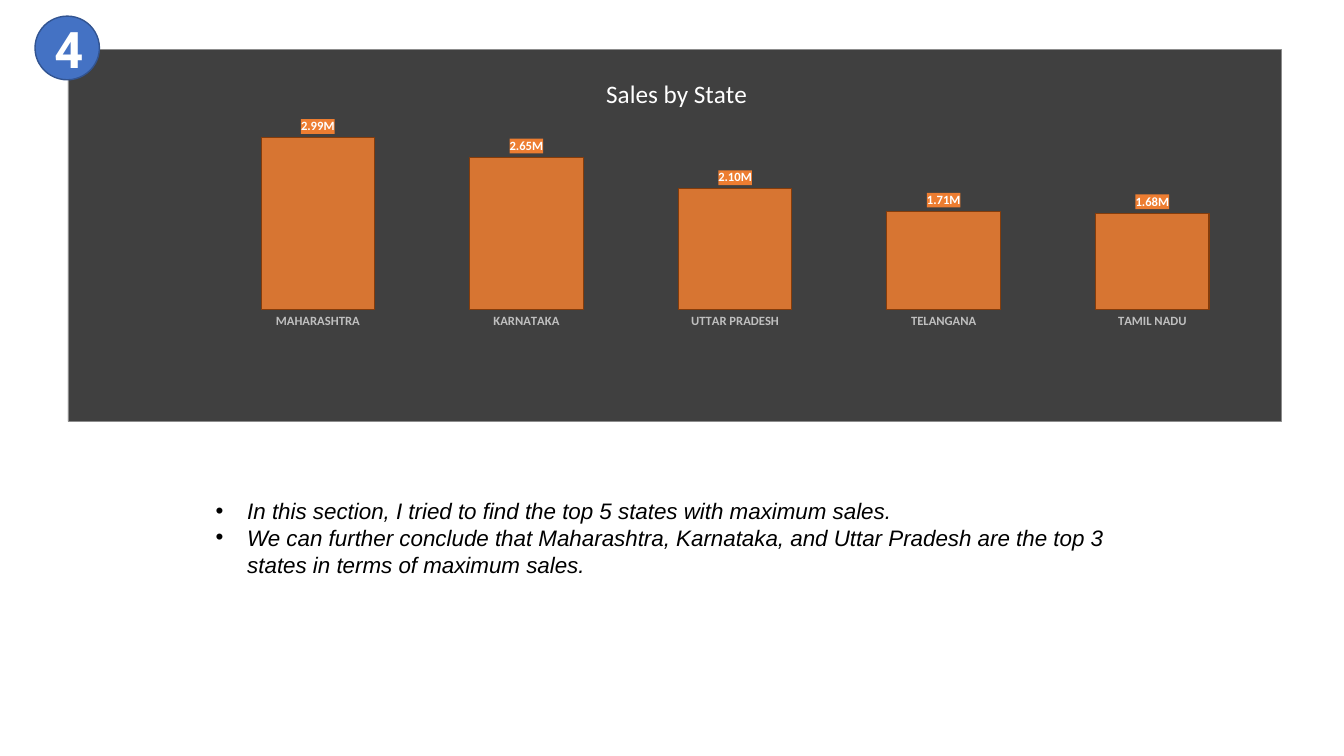
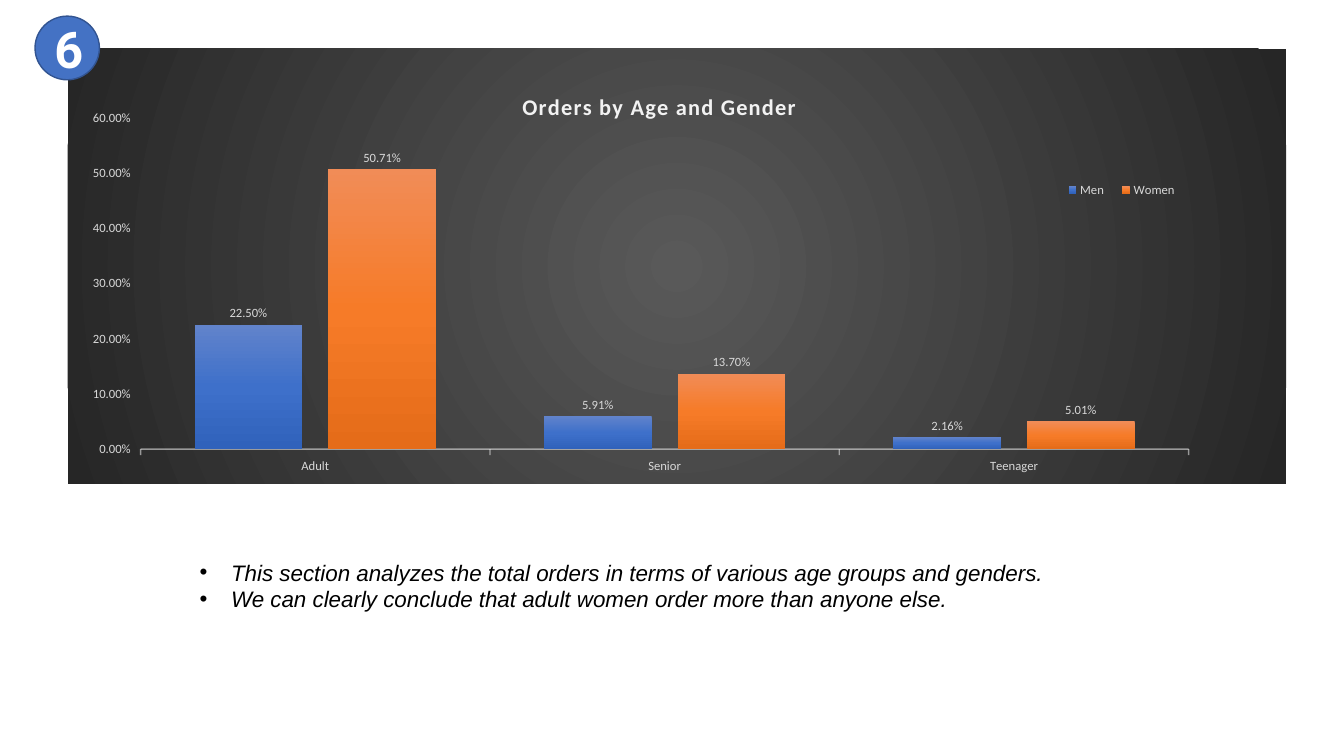
from dataclasses import dataclass
from typing import NamedTuple, Optional

from lxml.etree import SubElement
from pptx import Presentation
from pptx.chart.chart import Chart
from pptx.chart.data import CategoryChartData
from pptx.dml.color import RGBColor
from pptx.enum.chart import XL_CHART_TYPE, XL_LABEL_POSITION, XL_LEGEND_POSITION, XL_TICK_MARK
from pptx.enum.shapes import MSO_SHAPE
from pptx.enum.text import MSO_ANCHOR, MSO_AUTO_SIZE, PP_ALIGN
from pptx.oxml import parse_xml
from pptx.oxml.ns import nsdecls, qn
from pptx.slide import Slide
from pptx.text.text import Font
from pptx.util import Pt


@dataclass(frozen=True)
class Theme:
    black: str = "000000"
    white: str = "FFFFFF"
    panel: str = "404040"
    panel_border: str = "8C8C8C"
    badge: str = "4472C4"
    badge_border: str = "325491"
    orange: str = "ED7D31"
    bar_border: str = "843C0B"
    category_grey: str = "BFBFBF"
    label_grey: str = "D9D9D9"
    pale: str = "F2F2F2"
    glow: tuple[str, ...] = ("595959", "262626")
    men: tuple[str, ...] = ("6183CB", "3E70CA", "3062BB")
    women: tuple[str, ...] = ("F18C57", "F67B28", "E56C19")
    chart_font: str = "Calibri"
    note_font: str = "Arial"
    badge_font: str = "Roboto"
    label_size: float = 9
    chart_size: float = 10
    note_size: float = 16
    badge_size: float = 36


THEME = Theme()


class Box(NamedTuple):
    """Left, top, width and height in points."""
    left: float
    top: float
    width: float
    height: float

    def lengths(self) -> list[Pt]:
        return [Pt(value) for value in self]


class Portion(NamedTuple):
    """Place inside a chart, as fractions of its size."""
    x: float
    y: float
    w: Optional[float] = None
    h: Optional[float] = None


class Measure(NamedTuple):
    name: str
    values: tuple[float, ...]
    gradient: tuple[str, ...] = ()


@dataclass(frozen=True)
class ColumnPanel:
    box: Box
    title: str
    title_size: float
    title_color: str
    title_bold: bool
    title_spacing: int
    title_at: Portion
    plot_at: Portion
    categories: tuple[str, ...]
    measures: tuple[Measure, ...]
    number_format: str
    maximum: float
    gap: int
    overlap: int
    category_color: str
    label_color: str
    bold: bool


BADGE = Box(25, 11.5, 46, 45.5)

STATES = ColumnPanel(
    box=Box(48.25, 34.75, 867, 266.5),
    title="Sales by State", title_size=18, title_color=THEME.white,
    title_bold=False, title_spacing=0, title_at=Portion(0.44, 0.06),
    plot_at=Portion(0.12, 0.16, 0.86, 0.54),
    categories=("MAHARASHTRA", "KARNATAKA", "UTTAR PRADESH", "TELANGANA", "TAMIL NADU"),
    measures=(Measure("Sales", (2990000, 2650000, 2100000, 1710000, 1680000)),),
    number_format='0.00,,"M"', maximum=3500000, gap=84, overlap=0,
    category_color=THEME.category_grey, label_color=THEME.white, bold=True,
)
AGES = ColumnPanel(
    box=Box(48.25, 34.75, 870.5, 311),
    title="Orders by Age and Gender", title_size=16, title_color=THEME.pale,
    title_bold=True, title_spacing=100, title_at=Portion(0.37, 0.09),
    plot_at=Portion(0.06, 0.16, 0.86, 0.76),
    categories=("Adult", "Senior", "Teenager"),
    measures=(Measure("Men", (0.225, 0.0591, 0.0216), THEME.men),
              Measure("Women", (0.5071, 0.137, 0.0501), THEME.women)),
    number_format="0.00%", maximum=0.6, gap=100, overlap=-24,
    category_color=THEME.label_grey, label_color=THEME.label_grey, bold=False,
)


def rgb(color: str) -> RGBColor:
    return RGBColor.from_string(color)


def style(font: Font, face: str, size: float, color: str,
          bold: bool = False, italic: bool = False) -> None:
    font.name, font.size = face, Pt(size)
    font.bold, font.italic = bold, italic
    font.color.rgb = rgb(color)


# Fills that need XML
def solid_xml(color: str) -> str:
    return f'<a:solidFill><a:srgbClr val="{color}"/></a:solidFill>'


def gradient_xml(colors: tuple[str, ...], direction: str) -> str:
    step = 100000 // (len(colors) - 1)
    stops = "".join(f'<a:gs pos="{i * step}"><a:srgbClr val="{color}"/></a:gs>'
                    for i, color in enumerate(colors))
    return f"<a:gradFill><a:gsLst>{stops}</a:gsLst>{direction}</a:gradFill>"


def chart_properties(fill: str, line: str = "<a:ln><a:noFill/></a:ln>"):
    return parse_xml(f'<c:spPr {nsdecls("c", "a")}>{fill}{line}</c:spPr>')


def set_alpha(element, percent: int) -> None:
    for color in element.iter(qn("a:srgbClr")):
        SubElement(color, qn("a:alpha")).set("val", str(percent * 1000))


def place(chart: Chart, part: str, portion: Portion, after: str = "") -> None:
    """Give a chart part a fixed place."""
    owner = chart.element.find(f".//{qn(part)}")
    for old in owner.findall(qn("c:layout")):
        owner.remove(old)
    target = '<c:layoutTarget val="inner"/>' if part == "c:plotArea" else ""
    modes = '<c:xMode val="edge"/><c:yMode val="edge"/>'
    numbers = "".join(f'<c:{key} val="{value}"/>'
                      for key, value in portion._asdict().items() if value is not None)
    layout = parse_xml(f'<c:layout {nsdecls("c")}><c:manualLayout>{target}{modes}{numbers}'
                       "</c:manualLayout></c:layout>")
    if after:
        owner.find(qn(after)).addnext(layout)
    else:
        owner.insert(0, layout)


# Parts common to both slides
def add_columns(slide: Slide, panel: ColumnPanel) -> Chart:
    data = CategoryChartData(number_format=panel.number_format)
    data.categories = panel.categories
    for measure in panel.measures:
        data.add_series(measure.name, measure.values)
    chart = slide.shapes.add_chart(
        XL_CHART_TYPE.COLUMN_CLUSTERED, *panel.box.lengths(), data).chart
    style(chart.font, THEME.chart_font, THEME.chart_size, THEME.black)
    chart.has_legend = False

    # Title
    chart.has_title = True
    heading = chart.chart_title.text_frame.paragraphs[0]
    heading.text = panel.title
    style(heading.font, THEME.chart_font, panel.title_size, panel.title_color, panel.title_bold)
    heading.runs[0].font.size = Pt(panel.title_size)
    if panel.title_spacing:
        for run in heading.runs:
            style(run.font, THEME.chart_font, panel.title_size, panel.title_color,
                  panel.title_bold)
            run.font._element.set("spc", str(panel.title_spacing))
    chart.chart_title.include_in_layout = False
    place(chart, "c:title", panel.title_at, after="c:tx")
    place(chart, "c:plotArea", panel.plot_at)

    # Axes
    category, value = chart.category_axis, chart.value_axis
    style(category.tick_labels.font, THEME.chart_font, THEME.label_size,
          panel.category_color, panel.bold)
    category.major_tick_mark = XL_TICK_MARK.NONE
    category.format.line.fill.background()
    value.has_major_gridlines = False
    value.minimum_scale, value.maximum_scale = 0, panel.maximum

    # Columns and their labels
    plot = chart.plots[0]
    plot.gap_width, plot.overlap, plot.vary_by_categories = panel.gap, panel.overlap, False
    for series, measure in zip(plot.series, panel.measures):
        series.invert_if_negative = False
        if measure.gradient:
            series.format.line.fill.background()
            fill = gradient_xml(measure.gradient, '<a:lin ang="5400000" scaled="0"/>')
            series._element.find(qn("c:spPr")).insert(0, chart_properties(fill)[0])
        labels = series.data_labels
        labels.show_value = True
        labels.number_format, labels.number_format_is_linked = panel.number_format, False
        labels.position = XL_LABEL_POSITION.OUTSIDE_END
        style(labels.font, THEME.chart_font, THEME.label_size, panel.label_color, panel.bold)
    return chart


def set_background(chart: Chart, properties) -> None:
    chart.element.find(qn("c:chart")).addnext(properties)


def add_findings(slide: Slide, box: Box, findings: tuple[str, ...]) -> None:
    frame = slide.shapes.add_textbox(*box.lengths()).text_frame
    frame.word_wrap = True
    frame.auto_size = MSO_AUTO_SIZE.SHAPE_TO_FIT_TEXT
    frame.text = "\n".join(findings)
    indent = Pt(22.5)
    for paragraph in frame.paragraphs:
        style(paragraph.font, THEME.note_font, THEME.note_size, THEME.black, italic=True)
        properties = paragraph._p.get_or_add_pPr()
        properties.set("marL", str(indent))
        properties.set("indent", str(-indent))
        bullet = (f'<a:buFont {nsdecls("a")} typeface="{THEME.note_font}"/>',
                  f'<a:buChar {nsdecls("a")} char="•"/>')
        for position, xml in enumerate(bullet):
            properties.insert(position, parse_xml(xml))


def add_badge(slide: Slide, number: int) -> None:
    badge = slide.shapes.add_shape(MSO_SHAPE.OVAL, *BADGE.lengths())
    badge.shadow.inherit = False
    badge.fill.solid()
    badge.fill.fore_color.rgb = rgb(THEME.badge)
    badge.line.color.rgb = rgb(THEME.badge_border)
    badge.line.width = Pt(1)
    badge.text_frame.vertical_anchor = MSO_ANCHOR.MIDDLE
    digit = badge.text_frame.paragraphs[0]
    digit.text, digit.alignment = str(number), PP_ALIGN.CENTER
    style(digit.font, THEME.badge_font, THEME.badge_size, THEME.white, bold=True)


# Slides
def build_states(slide: Slide) -> None:
    chart = add_columns(slide, STATES)
    border = f'<a:ln w="{Pt(0.5)}">{solid_xml(THEME.panel_border)}</a:ln>'
    set_background(chart, chart_properties(solid_xml(THEME.panel), border))
    chart.value_axis.visible = False

    sales = chart.plots[0].series[0]
    sales.format.fill.solid()
    sales.format.fill.fore_color.rgb = rgb(THEME.orange)
    set_alpha(sales._element.find(qn("c:spPr")), 88)
    sales.format.line.color.rgb = rgb(THEME.bar_border)
    sales.format.line.width = Pt(0.75)
    label_text = sales._element.find(f"{qn('c:dLbls')}/{qn('c:txPr')}")
    label_text.addprevious(chart_properties(solid_xml(THEME.orange)))

    add_findings(slide, Box(147, 351.5, 650, 65.5), (
        "In this section, I tried to find the top 5 states with maximum sales.",
        "We can further conclude that Maharashtra, Karnataka, and Uttar Pradesh are the top 3 "
        "states in terms of maximum sales."))
    add_badge(slide, 4)


def build_ages(slide: Slide) -> None:
    chart = add_columns(slide, AGES)
    centre = '<a:path path="circle"><a:fillToRect l="50000" t="50000" r="50000" b="50000"/></a:path>'
    set_background(chart, chart_properties(gradient_xml(THEME.glow, centre)))

    category, value = chart.category_axis, chart.value_axis
    category.major_tick_mark = XL_TICK_MARK.OUTSIDE
    category.format.line.color.rgb = rgb(THEME.pale)
    category.format.line.width = Pt(1)
    set_alpha(category._element.find(qn("c:spPr")), 54)
    value.major_unit = 0.1
    value.format.line.fill.background()
    value.tick_labels.number_format = AGES.number_format
    value.tick_labels.number_format_is_linked = False
    style(value.tick_labels.font, THEME.chart_font, THEME.label_size, THEME.label_grey)

    chart.has_legend = True
    chart.legend.position = XL_LEGEND_POSITION.RIGHT
    chart.legend.include_in_layout = False
    style(chart.legend.font, THEME.chart_font, THEME.label_size, THEME.label_grey)
    place(chart, "c:legend", Portion(0.81, 0.29, 0.11, 0.07), after="c:legendPos")

    add_findings(slide, Box(135.5, 395.5, 661, 46), (
        "This section analyzes the total orders in terms of various age groups and genders.",
        "We can clearly conclude that adult women order more than anyone else."))
    add_badge(slide, 6)


def main() -> None:
    deck = Presentation()
    deck.slide_width, deck.slide_height = Pt(960), Pt(540)
    blank = deck.slide_layouts[6]
    for build in (build_states, build_ages):
        build(deck.slides.add_slide(blank))
    deck.save("out.pptx")


if __name__ == "__main__":
    main()
